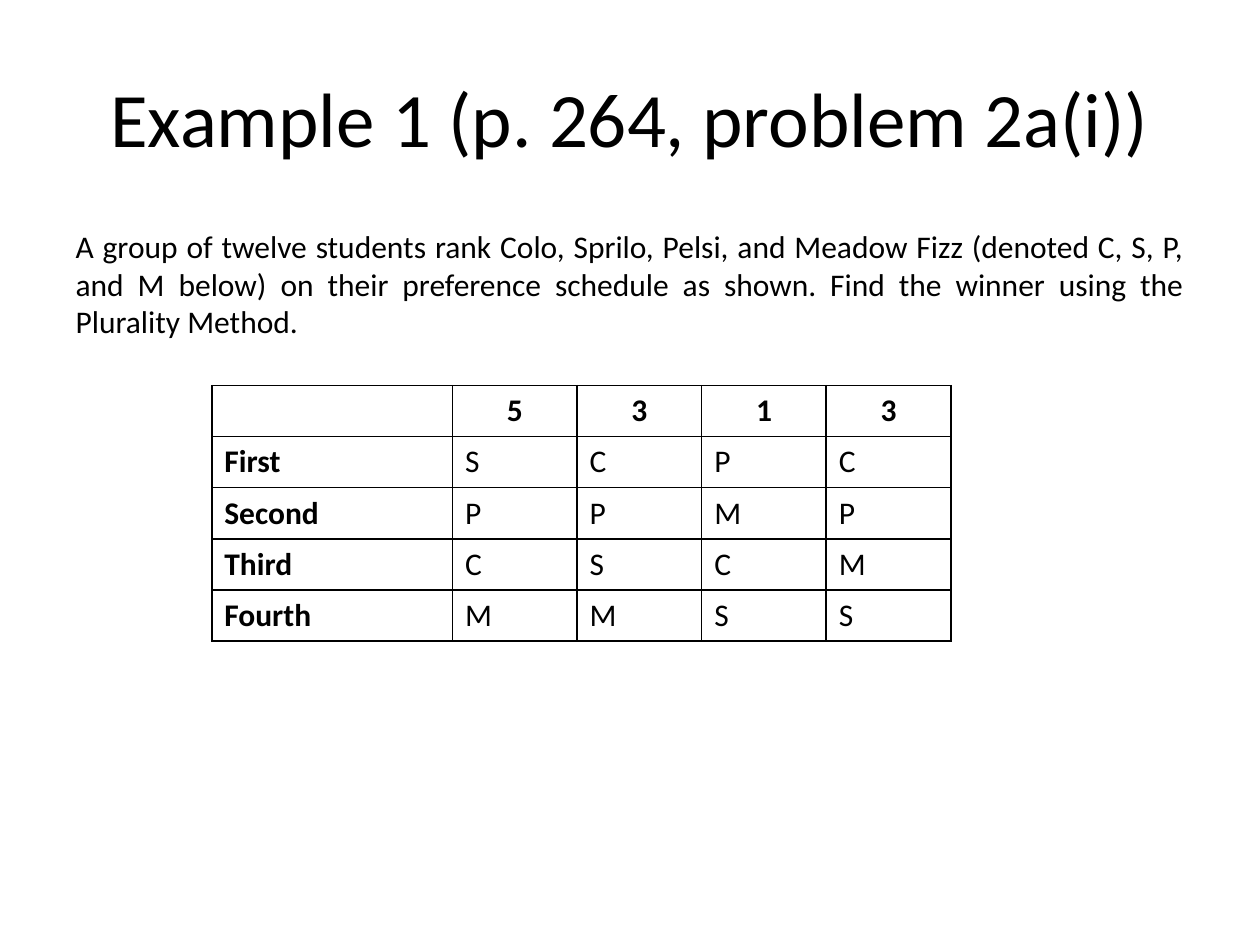
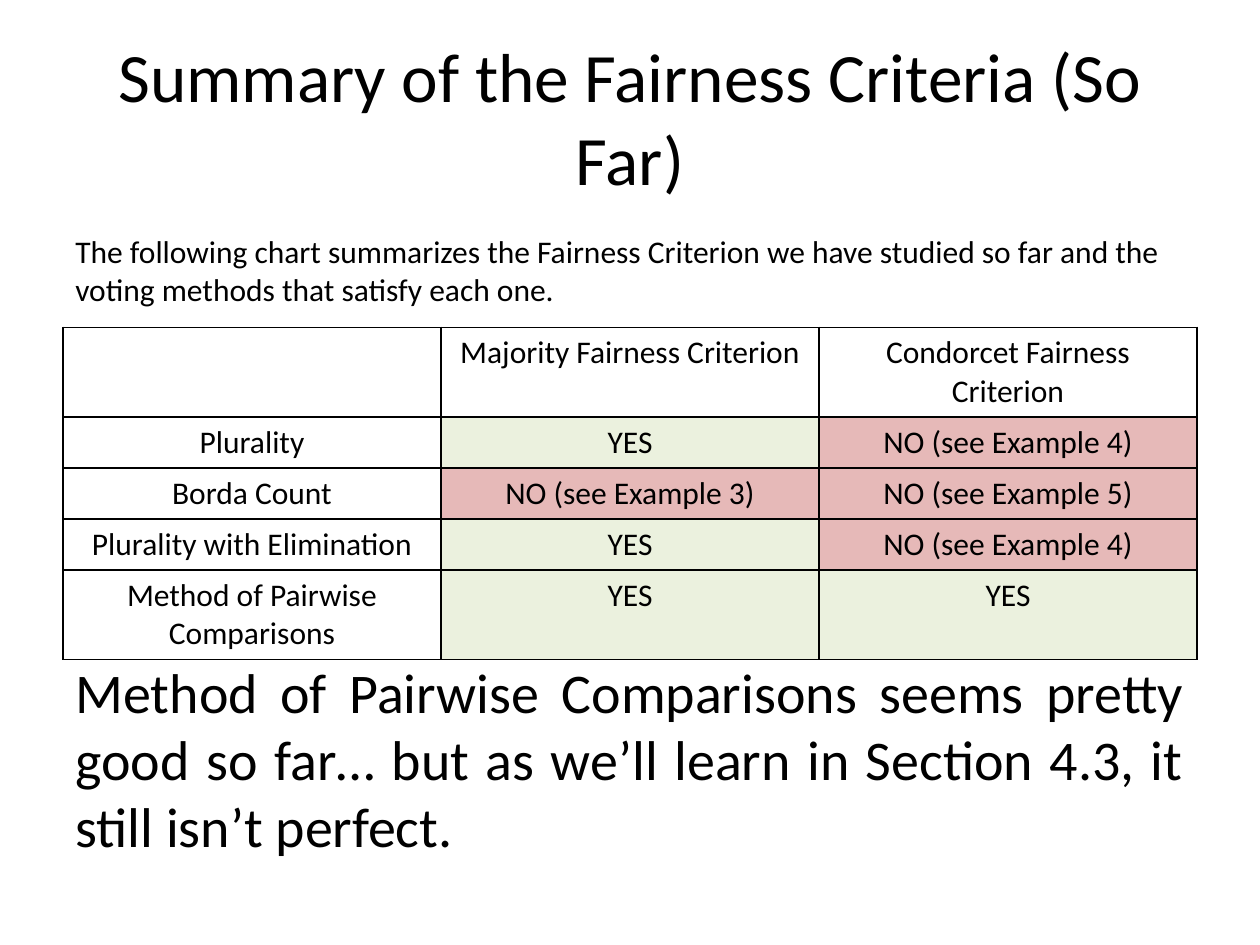
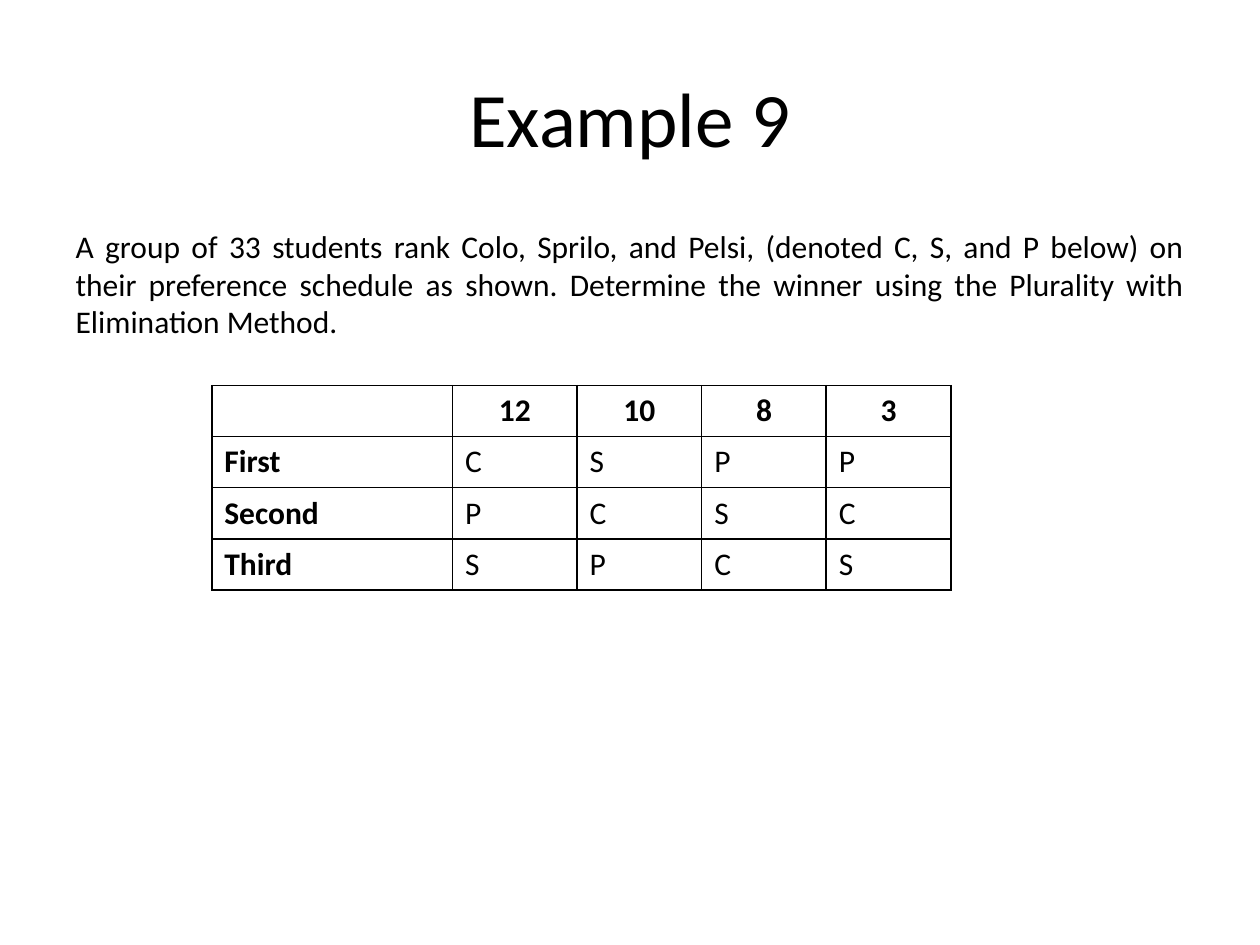
from lxml.etree import SubElement
from pptx import Presentation
from pptx.dml.color import RGBColor
from pptx.enum.text import MSO_ANCHOR as Anchor, MSO_AUTO_SIZE as AutoSize, PP_ALIGN as Align
from pptx.oxml.ns import qn
from pptx.util import Pt

COLORS = {"text": "000000", "border": "000000", "plain": "FFFFFF", "yes": "EBF1DE", "no": "E6B9B8"}
FONT = "Calibri"
TEXT_SIZE = 18
MARGIN = 36
CONTENT_WIDTH = 648
ROW_HEIGHT = 29.2
TITLE_ONLY, TITLE_AND_BODY = 5, 1
RANKS = ["First", "Second", "Third", "Fourth"]


def place(shape, top, height):
    shape.left, shape.top = Pt(MARGIN), Pt(top)
    shape.width, shape.height = Pt(CONTENT_WIDTH), Pt(height)


def write(frame, text, size=TEXT_SIZE, align=Align.LEFT, bold=False):
    paragraph = frame.paragraphs[0]
    paragraph.alignment = align
    run = paragraph.add_run()
    run.text = text
    run.font.name = FONT
    run.font.size = Pt(size)
    run.font.bold = bold
    run.font.color.rgb = RGBColor.from_string(COLORS["text"])
    return paragraph


def add_titled_slide(presentation, layout, title, size=44):
    slide = presentation.slides.add_slide(presentation.slide_layouts[layout])
    shape = slide.shapes.title
    place(shape, 21.6, 90)
    frame = shape.text_frame
    frame.auto_size = AutoSize.NONE
    frame.vertical_anchor = Anchor.MIDDLE
    write(frame, title, size, Align.CENTER)
    return slide


def fill_body(slide, text):
    body = slide.placeholders[1]
    place(body, 126, 90)
    body.text_frame.auto_size = AutoSize.NONE
    paragraph = write(body.text_frame, text, align=Align.JUSTIFY)
    paragraph.space_before = Pt(TEXT_SIZE * 0.2)
    properties = paragraph._p.get_or_add_pPr()
    properties.set("marL", "0")
    properties.set("indent", "0")
    SubElement(properties, qn("a:buNone"))


def add_text(slide, text, top, height, size=TEXT_SIZE, align=Align.LEFT):
    box = slide.shapes.add_textbox(0, 0, 0, 0)
    place(box, top, height)
    box.text_frame.word_wrap = True
    write(box.text_frame, text, size, align)


def add_borders(cell):
    properties = cell._tc.get_or_add_tcPr()
    for side in ("lnL", "lnR", "lnT", "lnB"):
        line = SubElement(properties, qn(f"a:{side}"), w=str(Pt(1)))
        fill = SubElement(line, qn("a:solidFill"))
        SubElement(fill, qn("a:srgbClr"), val=COLORS["border"])


def add_grid(slide, left, top, widths, rows, style_cell):
    height = ROW_HEIGHT * len(rows)
    frame = slide.shapes.add_table(len(rows), len(widths), Pt(left), Pt(top), Pt(sum(widths)), Pt(height))
    table = frame.table
    table.first_row = table.horz_banding = False
    for column, width in zip(table.columns, widths):
        column.width = Pt(width)
    for row_index, values in enumerate(rows):
        table.rows[row_index].height = Pt(ROW_HEIGHT)
        for column_index, text in enumerate(values):
            cell = table.cell(row_index, column_index)
            color, align, bold = style_cell(row_index, column_index, text)
            add_borders(cell)
            if color:
                cell.fill.solid()
                cell.fill.fore_color.rgb = RGBColor.from_string(COLORS[color])
            else:
                cell.fill.background()
            if text:
                write(cell.text_frame, text, align=align, bold=bold)


def style_schedule(row, column, text):
    return None, Align.LEFT if row else Align.CENTER, row == 0 or column == 0


def style_summary(row, column, text):
    color = "yes" if text == "YES" else "no" if text.startswith("NO ") else "plain"
    return color, Align.CENTER, False


def add_example(presentation, title, question, counts, choices):
    slide = add_titled_slide(presentation, TITLE_AND_BODY, title)
    fill_body(slide, question)
    rows = [["", *counts]] + [[rank, *letters] for rank, letters in zip(RANKS, choices)]
    widths = [137.6] + [71.2] * len(counts)
    add_grid(slide, 121, 220.3, widths, rows, style_schedule)


def add_summary(presentation):
    slide = add_titled_slide(presentation, TITLE_ONLY, "Summary of the Fairness Criteria (So Far)", 39.6)
    rows = [
        ["", "Majority Fairness Criterion", "Condorcet Fairness Criterion"],
        ["Plurality", "YES", "NO (see Example 4)"],
        ["Borda Count", "NO (see Example 3)", "NO (see Example 5)"],
        ["Plurality with Elimination", "YES", "NO (see Example 4)"],
        ["Method of Pairwise Comparisons", "YES", "YES"],
    ]
    add_grid(slide, MARGIN, 187, [CONTENT_WIDTH / 3] * 3, rows, style_summary)
    add_text(slide, "Method of Pairwise Comparisons seems pretty good so far… but as we’ll learn "
             "in Section 4.3, it still isn’t perfect.", 372, 124, 32, Align.JUSTIFY)
    add_text(slide, "The following chart summarizes the Fairness Criterion we have studied so far "
             "and the voting methods that satisfy each one.", 129, 51)


def main():
    presentation = Presentation()
    presentation.slide_width, presentation.slide_height = Pt(720), Pt(540)
    add_example(
        presentation, "Example 1 (p. 264, problem 2a(i))",
        "A group of twelve students rank Colo, Sprilo, Pelsi, and Meadow Fizz (denoted C, S, P, "
        "and M below) on their preference schedule as shown. Find the winner using the "
        "Plurality Method.",
        ["5", "3", "1", "3"], ["SCPC", "PPMP", "CSCM", "MMSS"])
    add_summary(presentation)
    add_example(
        presentation, "Example 9",
        "A group of 33 students rank Colo, Sprilo, and Pelsi, (denoted C, S, and P below) on "
        "their preference schedule as shown. Determine the winner using the Plurality with "
        "Elimination Method.",
        ["12", "10", "8", "3"], ["CSPP", "PCSC", "SPCS"])
    presentation.save("out.pptx")


main()
